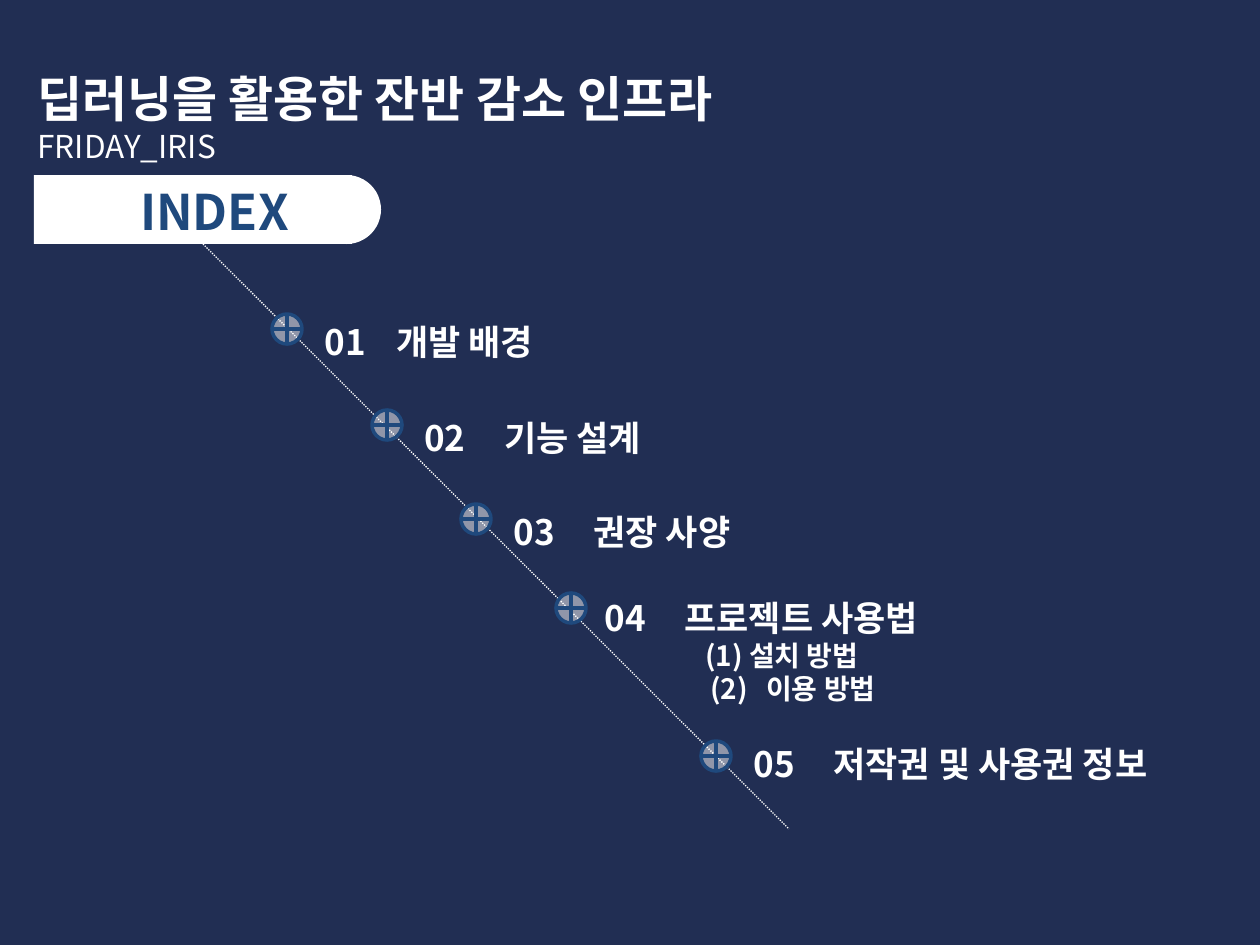
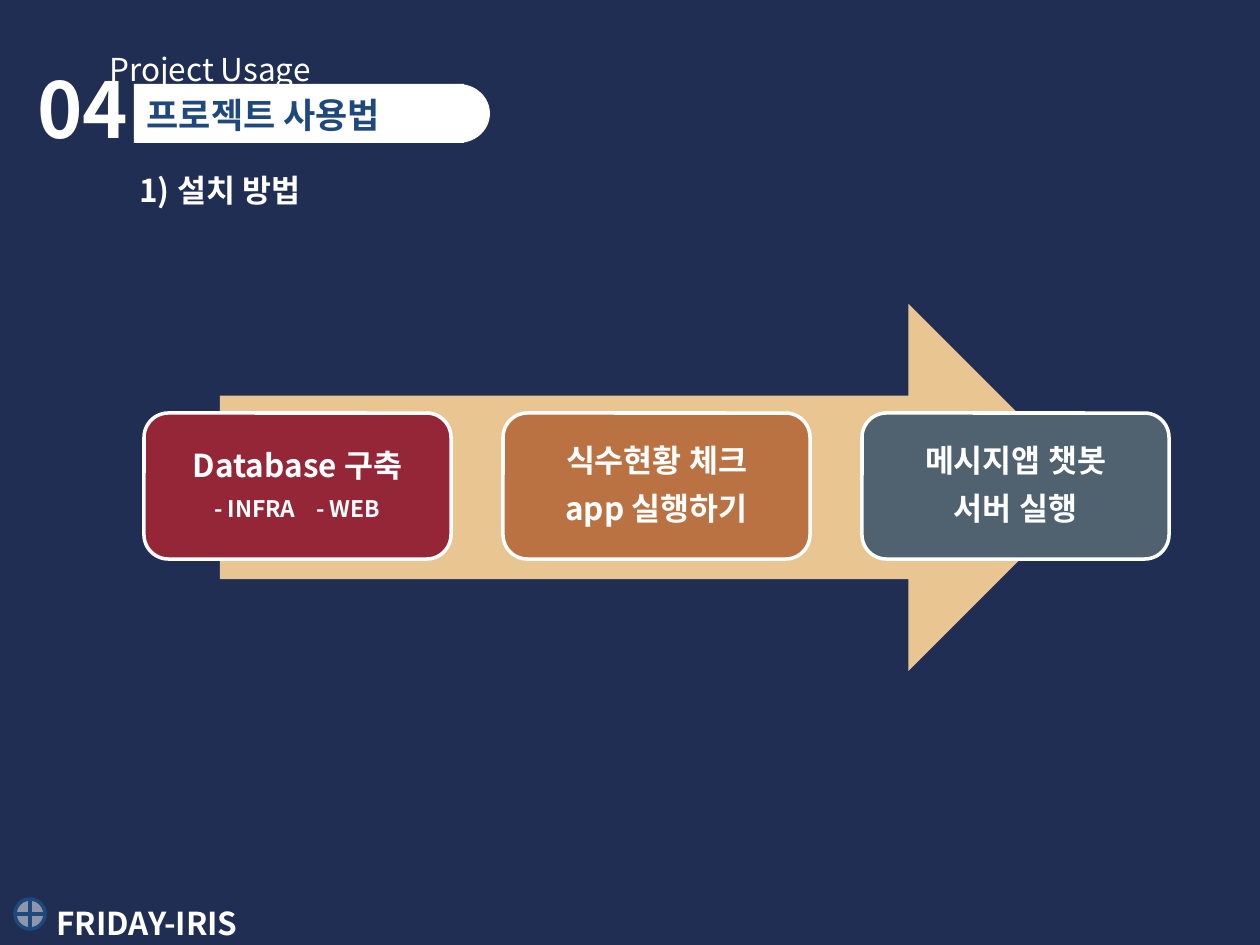
from lxml.etree import SubElement
from pptx import Presentation
from pptx.dml.color import RGBColor
from pptx.enum.dml import MSO_LINE
from pptx.enum.shapes import MSO_CONNECTOR, MSO_SHAPE as SHAPE
from pptx.enum.text import MSO_ANCHOR as ANCHOR, PP_ALIGN as ALIGN
from pptx.oxml.ns import qn
from pptx.util import Pt

EMU_PER_PX = 914400 / 126
FONT = "Noto Sans CJK KR"
NAVY, BLUE, WHITE = "212E53", "1F497D", "FFFFFF"
SAND, RED, COPPER, SLATE = "E9C592", "952637", "BB7243", "506270"
TEAM_SIZE = 18


def px(n):
    return round(n * EMU_PER_PX)


def box(*lengths):
    return [px(n) for n in lengths]


def rgb(value):
    return RGBColor.from_string(value)


# Text
def format_paragraph(p, text, size, color=WHITE, bold=True, align=ALIGN.LEFT, tabs=()):
    p.text = text
    p.alignment = align
    if tabs:
        tab_list = SubElement(p._p.get_or_add_pPr(), qn("a:tabLst"))
        for stop in tabs:
            SubElement(tab_list, qn("a:tab"), pos=str(px(stop)), algn="l")
    font = p.font
    font.name, font.size, font.bold = FONT, Pt(size), bold
    font.color.rgb = rgb(color)
    SubElement(font._rPr, qn("a:ea"), typeface=FONT)


def fill_text(tf, lines, anchor=ANCHOR.TOP):
    """Each line is a dict of format_paragraph arguments."""
    tf.word_wrap = True
    tf.vertical_anchor = anchor
    for i, line in enumerate(lines):
        p = tf.paragraphs[0] if i == 0 else tf.add_paragraph()
        format_paragraph(p, **line)


def add_text(slide, bounds, *lines):
    fill_text(slide.shapes.add_textbox(*box(*bounds)).text_frame, lines)


def set_title(slide, bounds, *lines):
    title = slide.shapes.title
    title.left, title.top, title.width, title.height = box(*bounds)
    fill_text(title.text_frame, lines)
    slide.shapes._spTree.append(title._element)  # keep the title in front


# Shapes
def add_shape(slide, kind, bounds, fill, line=None):
    sp = slide.shapes.add_shape(kind, *box(*bounds))
    sp.shadow.inherit = False
    sp.fill.solid()
    sp.fill.fore_color.rgb = rgb(fill)
    if line:
        sp.line.color.rgb = rgb(line)
        sp.line.width = Pt(2)
    else:
        sp.line.fill.background()
    return sp


def add_pill(slide, x, y, w, h, cap):
    """White band, square on the left and rounded on the right."""
    add_shape(slide, SHAPE.RECTANGLE, (x, y, w - round(cap * 0.42), h), WHITE)
    add_shape(slide, SHAPE.OVAL, (x + w - cap, y, cap, h), WHITE)


def add_node(slide, x, y):
    sp = add_shape(slide, SHAPE.FLOWCHART_OR, (x, y, 30, 30), WHITE, BLUE)
    color = sp._element.spPr.find(qn("a:solidFill"))[0]
    SubElement(color, qn("a:alpha"), val="50000")


def add_dotted_line(slide, *ends):
    line = slide.shapes.add_connector(MSO_CONNECTOR.STRAIGHT, *box(*ends))
    line.line.color.rgb = rgb(WHITE)
    line.line.width = Pt(0.75)
    line.line.dash_style = MSO_LINE.ROUND_DOT
    SubElement(line._element.spPr, qn("a:effectLst"))


def add_card(slide, x, fill, lines):
    card = add_shape(slide, SHAPE.ROUNDED_RECTANGLE, (x, 413, 307, 146), fill, WHITE)
    tf = card.text_frame
    tf.margin_left = tf.margin_right = tf.margin_top = tf.margin_bottom = px(10)
    fill_text(tf, lines, ANCHOR.MIDDLE)
    for p in tf.paragraphs:
        p.line_spacing = 0.9
        p.space_after = Pt(7.9)


# Slides
def build_index(slide):
    set_title(slide, (25, 62, 853, 110),
              dict(text="딥러닝을 활용한 잔반 감소 인프라", size=28),
              dict(text="FRIDAY_IRIS", size=TEAM_SIZE, bold=False))
    add_pill(slide, 34, 175, 347, 69, cap=69)
    add_text(slide, (37, 175, 355, 72),
             dict(text="INDEX", size=28, color=BLUE, align=ALIGN.CENTER))
    add_dotted_line(slide, 203, 244, 789, 829)

    # Chapter: node position, text position, tab stop, name, sections
    sections = [dict(text="\t(1) 설치 방법", size=16, tabs=[101]),
                dict(text="\t(2)\t이용 방법", size=16, tabs=[106, 162])]
    chapters = [
        ((272, 314), (312, 314), 72, "개발 배경", []),
        ((372, 410), (412, 410), 80, "기능 설계", []),
        ((461, 504), (501, 504), 80, "권장 사양", []),
        ((556, 593), (592, 590), 80, "프로젝트 사용법", sections),
        ((701, 741), (741, 736), 80, "저작권 및 사용권 정보", []),
    ]
    for number, (node, (x, y), tab, name, subs) in enumerate(chapters, 1):
        add_node(slide, *node)
        add_text(slide, (x, y, 516, 54 + 38 * len(subs)),
                 dict(text=f"{number:02}\t{name}", size=20, tabs=[tab]), *subs)


def build_usage(slide):
    # Chapter heading
    add_text(slide, (25, 55, 139, 105), dict(text="04", size=44))
    add_pill(slide, 134, 84, 356, 59, cap=63)
    add_text(slide, (97, 44, 240, 50),
             dict(text="Project Usage", size=18, bold=False))
    set_title(slide, (134, 87, 328, 54),
              dict(text="프로젝트 사용법", size=20, color=BLUE))
    add_text(slide, (127, 165, 208, 50), dict(text="1) 설치 방법", size=18))

    # Installation steps
    add_shape(slide, SHAPE.RIGHT_ARROW, (220, 304, 872, 367), SAND)
    main = dict(size=18, align=ALIGN.CENTER)
    steps = [
        (RED, [dict(text="Database 구축", **main),
               dict(text="\t- INFRA\t- WEB", size=13, tabs=[53, 155])]),
        (COPPER, [dict(text="식수현황 체크", **main),
                  dict(text="app 실행하기", **main)]),
        (SLATE, [dict(text="메시지앱 챗봇", **main),
                 dict(text="서버 실행", **main)]),
    ]
    for i, (fill, lines) in enumerate(steps):
        add_card(slide, 144 + 359 * i, fill, lines)

    # Footer
    add_node(slide, 15, 899)
    add_text(slide, (44, 898, 358, 50), dict(text="FRIDAY-IRIS", size=TEAM_SIZE))


def main():
    prs = Presentation()
    prs.slide_width, prs.slide_height = box(1260, 945)
    background = prs.slide_master.background.fill
    background.solid()
    background.fore_color.rgb = rgb(NAVY)
    title_only = prs.slide_layouts[5]
    for build in (build_index, build_usage):
        build(prs.slides.add_slide(title_only))
    prs.save("out.pptx")


if __name__ == "__main__":
    main()
